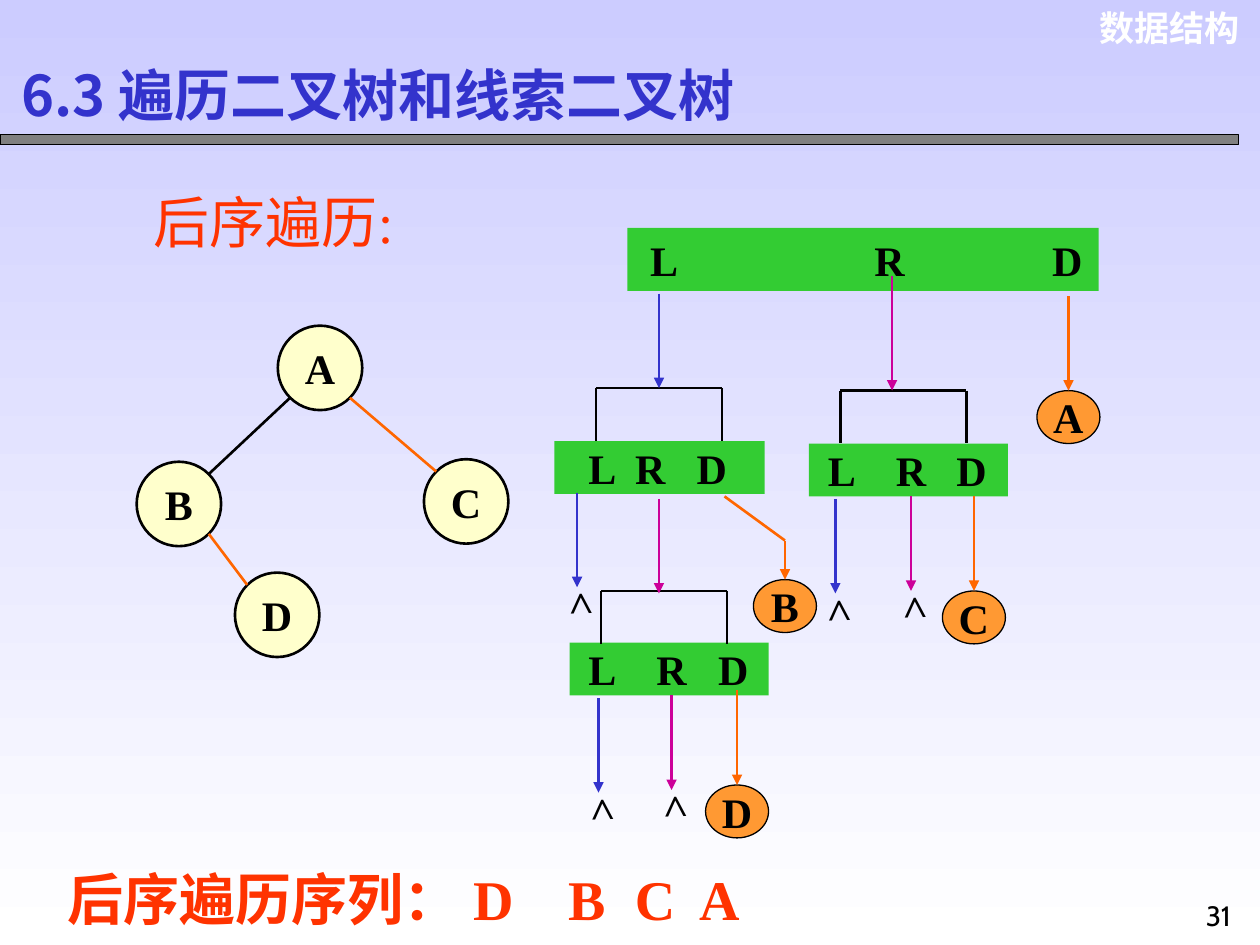
"""Build a slide on post-order traversal of a binary tree."""
import pptx
import pptx.util
import pptx.dml.color
import pptx.enum.shapes
import pptx.enum.text
import pptx.oxml
import pptx.oxml.ns

RGB = pptx.dml.color.RGBColor
KIND = pptx.enum.shapes.MSO_SHAPE
ALIGN = pptx.enum.text.PP_ALIGN
MID = pptx.enum.text.MSO_ANCHOR.MIDDLE
TOP = pptx.enum.text.MSO_ANCHOR.TOP
BLACK, WHITE = RGB(0, 0, 0), RGB(255, 255, 255)
LILAC, GRAY = RGB(0xCC, 0xCC, 0xFF), RGB(0x80, 0x80, 0x80)
BLUE, PINK = RGB(0x33, 0x33, 0xCC), RGB(0xCC, 0x00, 0x99)
ORANGE, AMBER = RGB(0xFF, 0x66, 0x00), RGB(0xFF, 0x99, 0x33)
GREEN, CREAM = RGB(0x33, 0xCC, 0x33), RGB(0xFF, 0xFF, 0xCC)
RED = RGB(0xFF, 0x33, 0x00)
SERIF = "Times New Roman"

TITLE = "6.3 遍历二叉树和线索二叉树"
# text, box, size, font, colour, bold, align, tab stops
LABELS = [
    ("数据结构", (8.57, 0, 1.37, 0.44), 20, "Arial", WHITE, True, ALIGN.RIGHT, ()),
    ("后序遍历:", (1.12, 1.44, 2.21, 0.64), 32, SERIF, RED, False, ALIGN.LEFT, ()),
    ("后序遍历序列： D\tB\tC\tA", (0.44, 6.81, 5.8, 0.64), 32, SERIF, RED, True,
     ALIGN.LEFT, (3.97, 4.5, 5.01)),
    ("31", (9.42, 7.08, 0.5, 0.42), 16, "Cabin", BLACK, False, ALIGN.CENTER, ()),
]
# bar box, left edges of L, R and D
BARS = [
    ((4.98, 1.81, 3.74, 0.5), (5.16, 6.94, 8.35)),
    ((4.4, 3.5, 1.67, 0.42), (4.67, 5.04, 5.53)),
    ((6.42, 3.52, 1.58, 0.42), (6.57, 7.11, 7.59)),
    ((4.52, 5.1, 1.58, 0.42), (4.67, 5.21, 5.7)),
]
FORKS = [(4.73, 3.08), (6.67, 3.1), (4.77, 4.69)]
CALLS = [(5.23, 2.33, 3.08, BLUE), (7.08, 2.19, 3.1, PINK), (5.23, 3.96, 4.71, PINK)]
NULLS = [(4.58, 3.91, BLUE), (6.63, 3.96, BLUE), (7.23, 3.94, PINK),
         (4.75, 5.54, BLUE), (5.33, 5.52, PINK)]
VISITS = [("A", 8.48, 2.35, 3.1), ("B", 6.23, 4.29, 4.6),
          ("C", 7.73, 3.94, 4.69), ("D", 5.85, 5.48, 6.23)]
NODES = {"A": (2.54, 2.92), "B": (1.42, 4), "C": (3.7, 3.98), "D": (2.2, 4.88)}
EDGES = [("A", "B", -1, BLACK), ("A", "C", 1, ORANGE), ("B", "D", 1, ORANGE)]
DROP, FORK, RISE, NODE = 0.75, 1, 0.42, 0.67

deck = pptx.Presentation()
inch = pptx.util.Inches
deck.slide_width, deck.slide_height = inch(10), inch(7.5)
slide = deck.slides.add_slide(deck.slide_layouts[5])
shapes = slide.shapes


def write(shape, text, size=24, font=SERIF, color=BLACK, bold=True,
          align=ALIGN.CENTER, stops=(), anchor=MID, wrap=True):
    frame = shape.text_frame
    frame.text = text
    frame.word_wrap = wrap
    frame.vertical_anchor = anchor
    para = frame.paragraphs[0]
    if stops:
        tabs = pptx.oxml.parse_xml(
            "<a:tabLst %s>%s</a:tabLst>" % (
                pptx.oxml.ns.nsdecls("a"),
                "".join('<a:tab pos="%d" algn="l"/>' % inch(s) for s in stops)))
        para._p.get_or_add_pPr().append(tabs)
    para.alignment = align
    for run in para.runs:
        run.font.size = pptx.util.Pt(size)
        run.font.name = font
        run.font.bold = bold
        run.font.color.rgb = color


def draw(kind, box, fill, width=0):
    shape = shapes.add_shape(kind, *map(inch, box))
    shape.shadow.inherit = False
    shape.fill.solid()
    shape.fill.fore_color.rgb = fill
    if width:
        shape.line.color.rgb = BLACK
        shape.line.width = pptx.util.Pt(width)
    else:
        shape.line.fill.background()
    return shape


def link(start, end, color=BLACK, head=False):
    line = shapes.add_connector(pptx.enum.shapes.MSO_CONNECTOR.STRAIGHT,
                                *map(inch, (*start, *end)))
    line.line.color.rgb = color
    line.line.width = pptx.util.Pt(1.5)
    space = pptx.oxml.ns.nsdecls("a")
    if head:
        line.line._get_or_add_ln().append(
            pptx.oxml.parse_xml('<a:tailEnd %s type="triangle"/>' % space))
    line._element.spPr.append(pptx.oxml.parse_xml("<a:effectLst %s/>" % space))
    return line


def label(text, box, *style):
    shape = shapes.add_textbox(*map(inch, box))
    write(shape, text, *style, anchor=TOP)
    return shape


back = slide.background.fill
back.gradient()
back.gradient_angle = 270
for stop, tone in zip(back.gradient_stops, (LILAC, WHITE)):
    stop.color.rgb = tone

title = shapes.title
title.left, title.top, title.width, title.height = map(inch, (0.07, 0.46, 6.75, 0.57))
write(title, TITLE, 32, "Noto Sans CJK SC", BLUE, align=ALIGN.LEFT)
draw(KIND.RECTANGLE, (0, 1.07, 9.83, 0.08), GRAY, 0.75)
for item in LABELS:
    label(*item)

for box, cols in BARS:
    bar = draw(KIND.RECTANGLE, box, GREEN)
    write(bar, "L\tR\tD", align=ALIGN.LEFT, stops=[c - cols[0] for c in cols[1:]])
    bar.text_frame.margin_left = inch(cols[0] - box[0])
    bar.text_frame.margin_right = 0

for x, y in FORKS:
    link((x, y), (x + FORK, y))
    for leg in (x, x + FORK):
        link((leg, y), (leg, y + RISE))

for x, y, end, color in CALLS:
    link((x, y), (x, end), color, True)

for x, y, color in NULLS:
    link((x, y), (x, y + DROP), color, True)
    sign = label(">", (x - 0.2, y + DROP - 0.13, 0.42, 0.5),
                 24, SERIF, BLACK, True, ALIGN.LEFT)
    sign.rotation = 268.3

link((5.75, 3.94), (6.23, 4.29), ORANGE)
for name, x, y, end in VISITS:
    oval = draw(KIND.OVAL, (x - 0.25, end, 0.5, RISE), AMBER, 0.75)
    write(oval, name, wrap=False)
    link((x, y), (x, end), ORANGE, True).end_connect(oval, 0)

for name, (x, y) in NODES.items():
    node = draw(KIND.OVAL, (x - NODE / 2, y - NODE / 2, NODE, NODE), CREAM, 1.5)
    write(node, name, wrap=False)

reach = NODE / 2 * 0.71
for above, below, side, color in EDGES:
    (x, y), (u, v) = NODES[above], NODES[below]
    link((x + side * reach, y + reach), (u - side * reach, v - reach), color)

deck.save("out.pptx")
